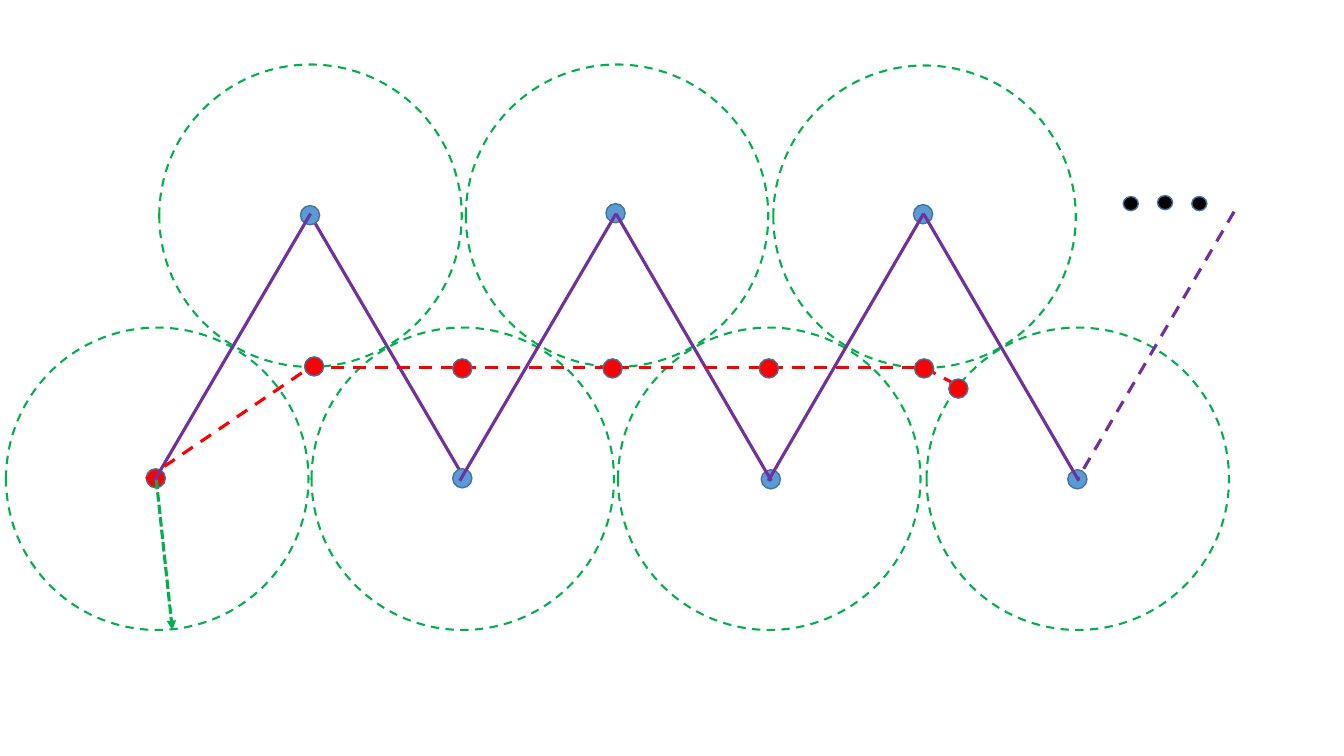
from lxml.etree import SubElement
from pptx import Presentation
from pptx.dml.color import RGBColor
from pptx.enum.dml import MSO_LINE
from pptx.enum.shapes import MSO_CONNECTOR, MSO_SHAPE
from pptx.oxml.ns import qn
from pptx.util import Emu, Pt

PX = 9144
RANGE_SIZE = 300
NODE_SIZE = 19
GREEN = RGBColor(0x00, 0xB0, 0x50)
PURPLE = RGBColor(0x70, 0x30, 0xA0)
RED = RGBColor(0xFF, 0x00, 0x00)
BLUE = RGBColor(0x5B, 0x9B, 0xD5)
DARK_BLUE = RGBColor(0x43, 0x73, 0x9E)
BLACK = RGBColor(0x00, 0x00, 0x00)

UPPER_NODES = [(298, 204), (601, 202), (906, 203)]
LOWER_NODES = [(449, 465), (755, 466), (1059, 466)]
START_NODE = (145, 465)
LOWER_RANGES = [(6, 325), (309, 325), (613, 325), (919, 325)]
UPPER_RANGES = [(158, 64), (462, 64), (767, 65)]
FIRST_DESCENT = ((307, 212), (462, 477))
ZIGZAG = [
    ((308, 212), (153, 477)),
    ((611, 212), (456, 477)),
    ((916, 212), (762, 477)),
    ((611, 212), (765, 477)),
    ((916, 212), (1070, 477)),
]
ROUTE = [
    ((307, 365), (917, 365)),
    ((145, 475), (308, 364)),
    ((917, 365), (951, 383)),
]
ROUTE_NODES = [(449, 356), (941, 376), (302, 354), (598, 356), (907, 356), (753, 356)]
ELLIPSIS = [(1114, 195), (1148, 194), (1182, 195)]


def px(length):
    return Emu(length * PX)


def add_circle(page, corner, width, height, color, weight, fill=None, dash=None):
    left, top = corner
    circle = page.shapes.add_shape(
        MSO_SHAPE.OVAL, px(left), px(top), px(width), px(height)
    )
    circle.shadow.inherit = False
    if fill is None:
        circle.fill.background()
    else:
        circle.fill.solid()
        circle.fill.fore_color.rgb = fill
    circle.line.color.rgb = color
    circle.line.width = Pt(weight)
    if dash is not None:
        circle.line.dash_style = dash


def add_nodes(page, corners, fill, width=NODE_SIZE, height=NODE_SIZE):
    for corner in corners:
        add_circle(page, corner, width, height, DARK_BLUE, 1, fill=fill)


def add_ranges(page, corners):
    for corner in corners:
        add_circle(page, corner, RANGE_SIZE, RANGE_SIZE, GREEN, 1.5, dash=MSO_LINE.DASH)


def add_line(page, ends, color, weight=2.25, dash=None, arrow=False):
    (start_x, start_y), (end_x, end_y) = ends
    line = page.shapes.add_connector(
        MSO_CONNECTOR.STRAIGHT, px(start_x), px(start_y), px(end_x), px(end_y)
    )
    line.line.color.rgb = color
    line.line.width = Pt(weight)
    if dash is not None:
        line.line.dash_style = dash
    properties = line._element.spPr
    if arrow:
        SubElement(properties.find(qn("a:ln")), qn("a:tailEnd"), type="triangle")
    SubElement(properties, qn("a:effectLst"))


def main():
    deck = Presentation()
    deck.slide_width = px(1333)
    deck.slide_height = px(750)
    page = deck.slides.add_slide(deck.slide_layouts[6])

    add_line(page, FIRST_DESCENT, PURPLE)
    add_nodes(page, UPPER_NODES + LOWER_NODES, BLUE)
    add_nodes(page, [START_NODE], RED)
    add_ranges(page, LOWER_RANGES + UPPER_RANGES)
    for ends in ZIGZAG:
        add_line(page, ends, PURPLE)
    add_line(page, ((121, 212), (121, 212)), BLUE, weight=0.5)
    for ends in ROUTE:
        add_line(page, ends, RED, dash=MSO_LINE.DASH)
    add_line(
        page, ((155, 476), (171, 625)), GREEN, dash=MSO_LINE.SQUARE_DOT, arrow=True
    )
    add_nodes(page, ROUTE_NODES, RED)
    add_line(page, ((1224, 210), (1069, 475)), PURPLE, dash=MSO_LINE.DASH)
    add_nodes(page, ELLIPSIS, BLACK, width=15, height=14)

    deck.save("out.pptx")


if __name__ == "__main__":
    main()
